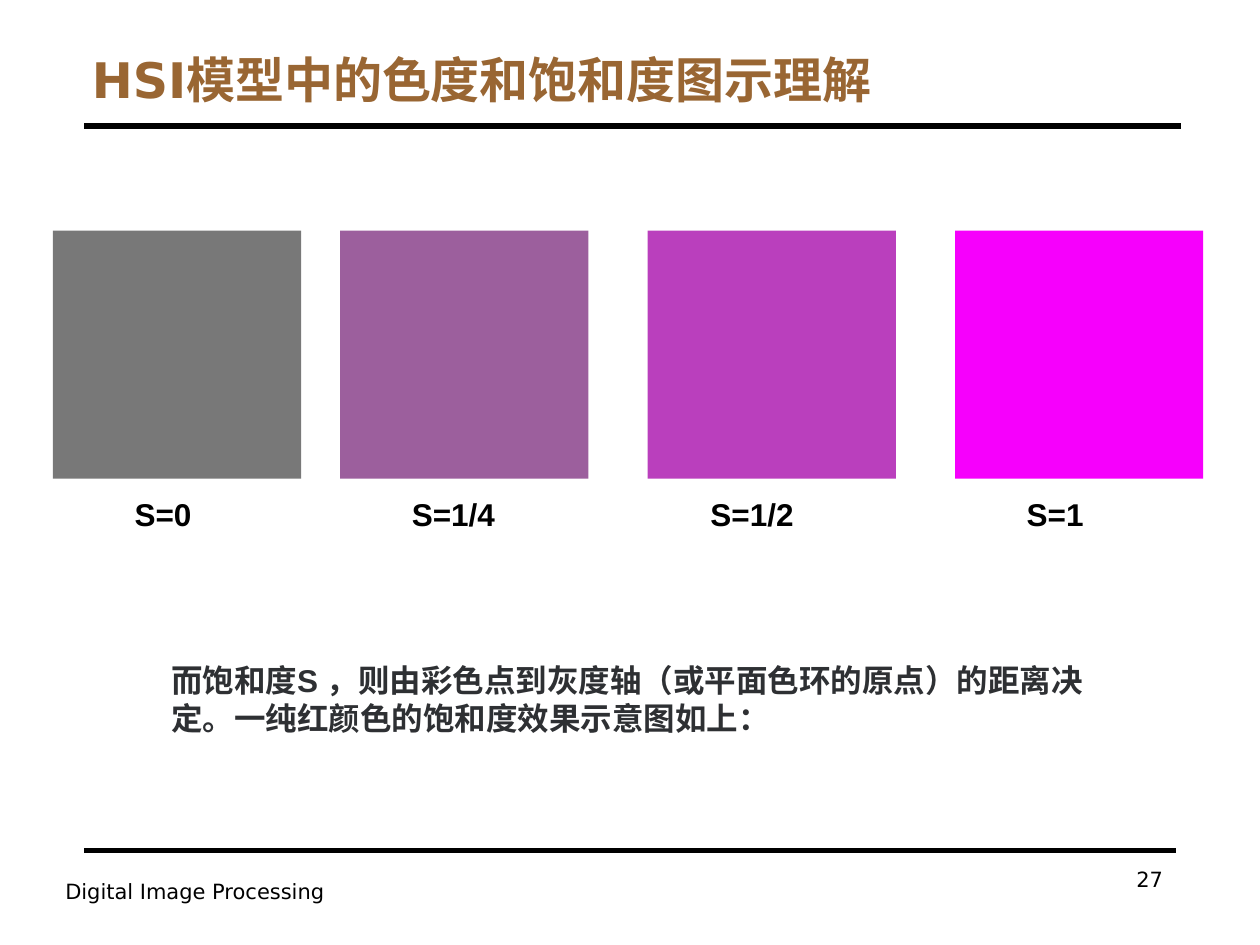
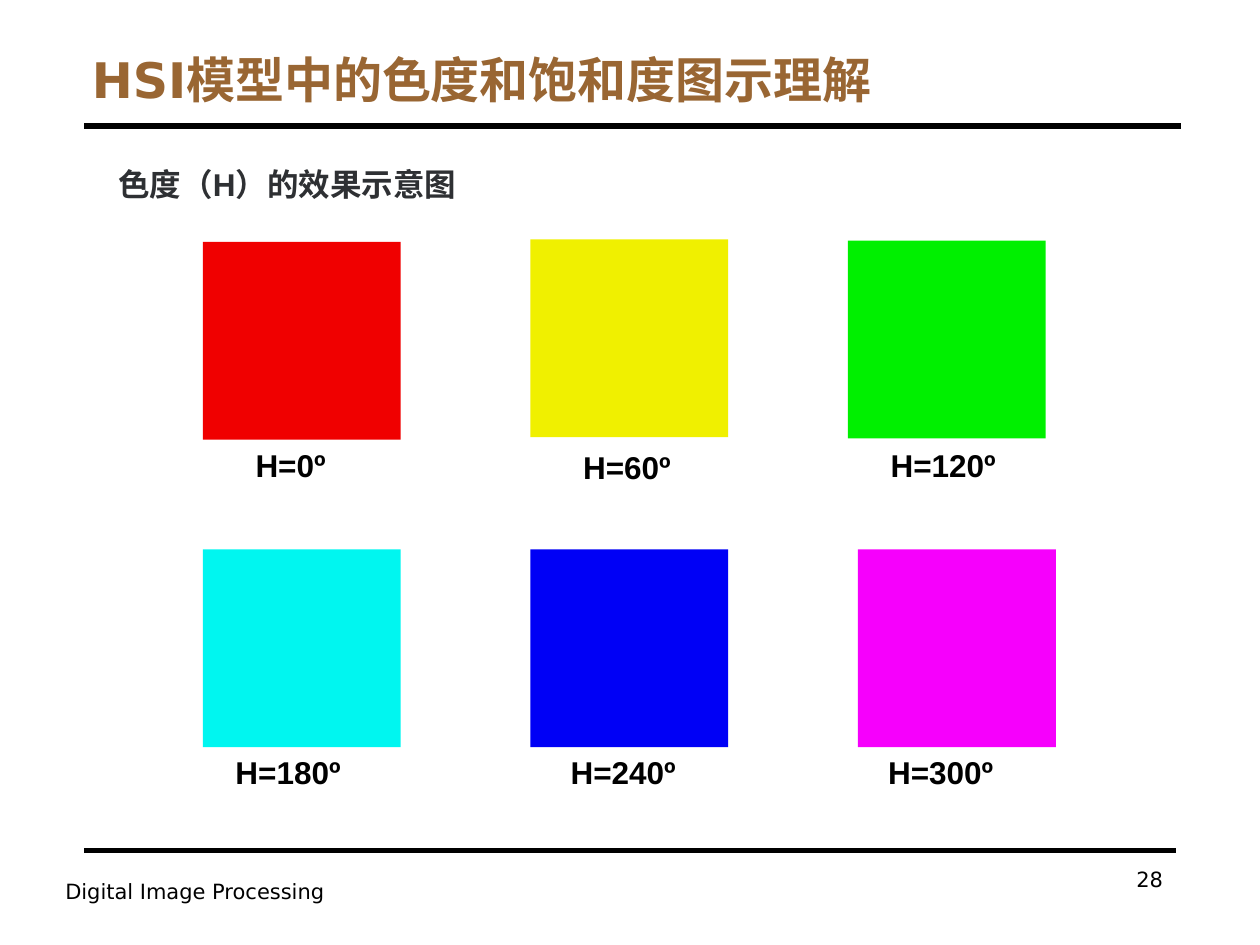
import pptx
import pptx.dml.color
import pptx.enum.shapes
import pptx.enum.text
import pptx.oxml.ns
import pptx.util
from lxml import etree

Inches = pptx.util.Inches
ALIGN = pptx.enum.text.PP_ALIGN
ANCHOR = pptx.enum.text.MSO_ANCHOR

BLACK = "000000"
BROWN = "996633"
CHARCOAL = "2E3033"
TITLE_FONT = "DejaVu Sans"
BODY_FONT = "Arial"
TITLE = "HSI模型中的色度和饱和度图示理解"
FOOTER = "Digital Image Processing"

SATURATION_SIDE = 1.97
SATURATION_TOP = 1.83
SATURATION_SWATCHES = [
    ("S=0", "787878", 0.42, 0.55, 0.94),
    ("S=1/4", "9C5F9D", 2.7, 0.47, 1.18),
    ("S=1/2", "BA3FBD", 5.14, 0.4, 1.18),
    ("S=1", "F600FC", 7.58, 0.47, 1.18),
]

HUE_SIDE = 1.57
HUE_SWATCHES = [
    ("H=0º", "F00000", 1.61, 1.92, 0.32, 0, 0.94),
    ("H=60º", "F0F000", 4.21, 1.9, 0.32, 0.04, 0.94),
    ("H=120º", "00F000", 6.73, 1.91, 0.24, 0.01, 1.18),
    ("H=180º", "00F6F0", 1.61, 4.36, 0.16, 0, 1.18),
    ("H=240º", "0000F6", 4.21, 4.36, 0.22, 0, 1.18),
    ("H=300º", "F600FC", 6.81, 4.36, 0.14, 0, 1.18),
]


def color(value):
    return pptx.dml.color.RGBColor.from_string(value)


def write_text(shape, text, size=18, font=BODY_FONT, fill=BLACK, bold=False,
               align=ALIGN.LEFT, anchor=ANCHOR.TOP):
    frame = shape.text_frame
    frame.word_wrap = True
    frame.auto_size = pptx.enum.text.MSO_AUTO_SIZE.NONE
    frame.vertical_anchor = anchor
    frame.text = text
    paragraph = frame.paragraphs[0]
    paragraph.alignment = align
    paragraph.font.name = font
    paragraph.font.size = pptx.util.Pt(size)
    paragraph.font.bold = bold
    paragraph.font.color.rgb = color(fill)


def add_text(shapes, box, text, **text_format):
    shape = shapes.add_textbox(*map(Inches, box))
    write_text(shape, text, **text_format)


def add_rule(slide, left, right, top):
    rule = slide.shapes.add_connector(
        pptx.enum.shapes.MSO_CONNECTOR.STRAIGHT,
        Inches(left), Inches(top), Inches(right), Inches(top))
    rule.line.color.rgb = color(BLACK)
    rule.line.width = pptx.util.Pt(3.25)
    properties = rule.element.find(pptx.oxml.ns.qn("p:spPr"))
    etree.SubElement(properties, pptx.oxml.ns.qn("a:effectLst"))


def add_header(slide, box):
    left, top, width, height = box
    title = slide.shapes.title
    title.left, title.top, title.width, title.height = map(Inches, box)
    write_text(title, TITLE, size=28, font=TITLE_FONT, fill=BROWN, bold=True,
               anchor=ANCHOR.BOTTOM)
    add_rule(slide, left + 0.04, left + width - 0.01, top + height + 0.09)


def add_footer(slide, box, number):
    left, top, width, height = box
    add_rule(slide, left + 0.25, left + width, top)
    add_text(slide.shapes, (left, top + 0.17, 2.83, height), FOOTER,
             size=12, font=TITLE_FONT)
    add_text(slide.shapes, (left + width - 2.17, top + 0.08, 2.17, height),
             str(number), size=12, font=TITLE_FONT, align=ALIGN.RIGHT)


def add_swatch(slide, box, fill, label, indent, gap, label_width):
    left, top, width, height = box
    group = slide.shapes.add_group_shape()
    square = group.shapes.add_shape(
        pptx.enum.shapes.MSO_SHAPE.RECTANGLE, *map(Inches, box))
    square.shadow.inherit = False
    square.fill.solid()
    square.fill.fore_color.rgb = color(fill)
    square.line.fill.background()
    add_text(group.shapes, (left + indent, top + height + gap, label_width, 0.4),
             label, bold=True)


def add_base_slide(presentation, number):
    slide = presentation.slides.add_slide(presentation.slide_layouts[5])
    add_header(slide, (0.63, 0.33, 8.75, 0.58))
    add_footer(slide, (0.42, 6.75, 8.91, 0.52), number)
    return slide


def build_saturation_slide(presentation):
    slide = add_base_slide(presentation, 27)
    add_text(slide.shapes, (1.26, 5.2, 7.48, 0.71),
             "而饱和度S ，则由彩色点到灰度轴（或平面色环的原点）的距离决定。"
             "一纯红颜色的饱和度效果示意图如上：", fill=CHARCOAL, bold=True)
    for label, fill, left, indent, label_width in SATURATION_SWATCHES:
        add_swatch(slide, (left, SATURATION_TOP, SATURATION_SIDE, SATURATION_SIDE),
                   fill, label, indent, 0.08, label_width)


def build_hue_slide(presentation):
    slide = add_base_slide(presentation, 28)
    add_text(slide.shapes, (0.84, 1.26, 3.38, 0.4), "色度（H）的效果示意图",
             fill=CHARCOAL, bold=True)
    for label, fill, left, top, indent, gap, label_width in HUE_SWATCHES:
        add_swatch(slide, (left, top, HUE_SIDE, HUE_SIDE),
                   fill, label, indent, gap, label_width)


def main():
    presentation = pptx.Presentation()
    presentation.slide_width = Inches(10)
    presentation.slide_height = Inches(7.5)
    build_saturation_slide(presentation)
    build_hue_slide(presentation)
    presentation.save("out.pptx")


if __name__ == "__main__":
    main()
